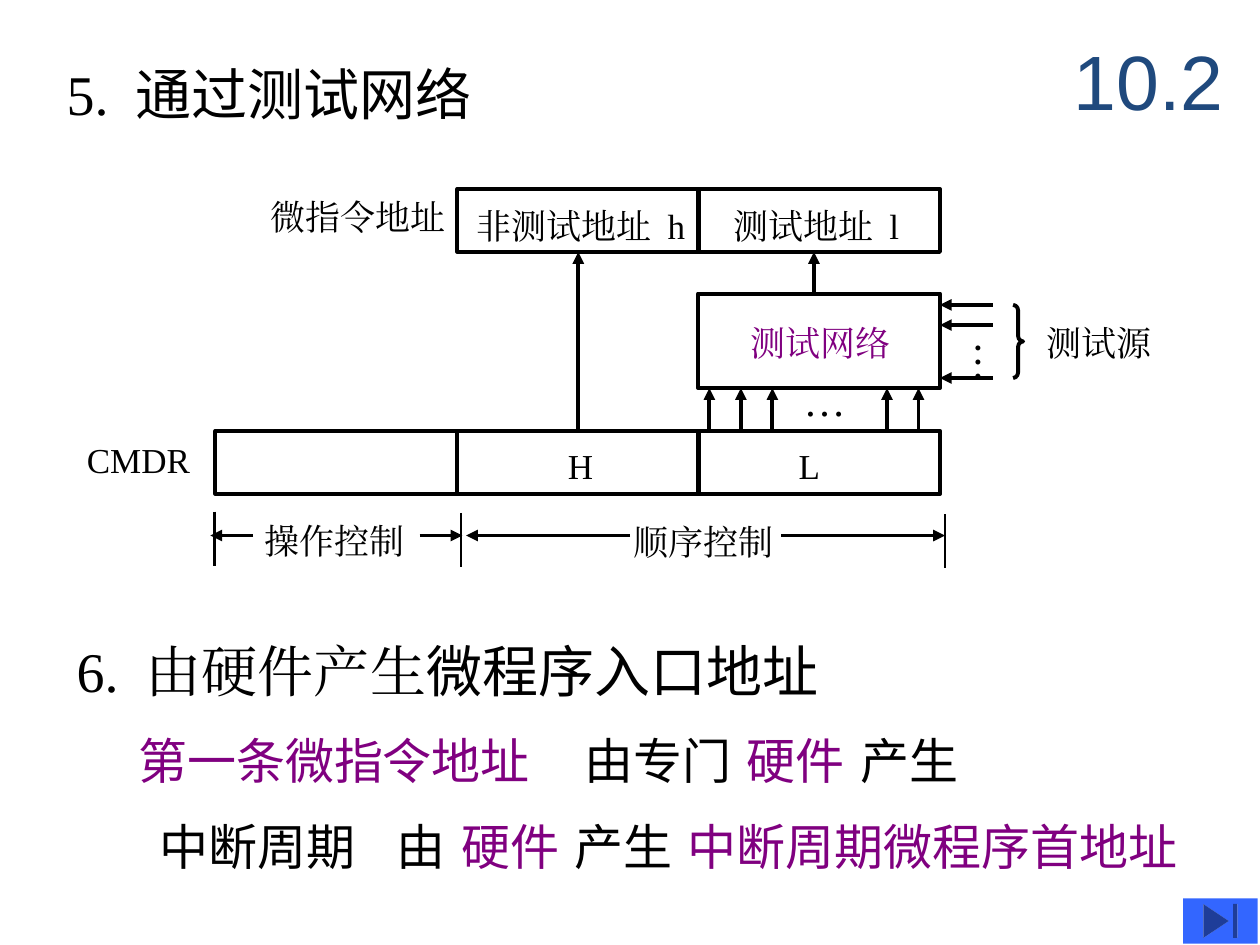
import pptx
import pptx.dml.color
import pptx.enum.shapes
import pptx.enum.text
import pptx.oxml.ns
import pptx.util
from lxml import etree

Inches = pptx.util.Inches
Pt = pptx.util.Pt
SHAPE = pptx.enum.shapes.MSO_SHAPE
SERIF, SANS = "Times New Roman", "DejaVu Sans"
HEX = {"ink": "000000", "key": "800080", "title": "1F497D", "button": "3366FF"}
COLS = [1.71, 3.63, 5.54]
CELL = 1.92
TOP, NET, BASE = 1.5, 2.33, 3.42


def tint(name):
    return pptx.dml.color.RGBColor.from_string(HEX[name])


def add_run(para, text, size, font, color):
    run = para.add_run()
    run.text = text
    run.font.size = Pt(size)
    run.font.name = font
    run.font.color.rgb = tint(color)
    east = etree.SubElement(run.font._element, pptx.oxml.ns.qn("a:ea"))
    east.set("typeface", font)


def add_text(slide, left, top, width, height, runs, size=20, tab=None):
    """Place one line of (text, font, color) runs, with an optional tab stop."""
    box = slide.shapes.add_textbox(
        Inches(left), Inches(top), Inches(width), Inches(height))
    frame = box.text_frame
    frame.word_wrap = True
    frame.margin_right = 0
    para = frame.paragraphs[0]
    if tab:
        stops = etree.SubElement(
            para._p.get_or_add_pPr(), pptx.oxml.ns.qn("a:tabLst"))
        stop = etree.SubElement(stops, pptx.oxml.ns.qn("a:tab"))
        stop.set("pos", str(Inches(tab)))
        stop.set("algn", "l")
    for text, font, color in runs:
        add_run(para, text, size, font, color)
    return frame


def add_label(slide, left, top, width, text, color="ink", tab=None):
    add_text(slide, left, top, width, 0.44, [(text, SERIF, color)], tab=tab)


def add_shape(slide, kind, left, top, width, height):
    """Add an unfilled shape with a dark outline."""
    shape = slide.shapes.add_shape(
        kind, Inches(left), Inches(top), Inches(width), Inches(height))
    shape.shadow.inherit = False
    shape.fill.background()
    shape.line.color.rgb = tint("ink")
    shape.line.width = Pt(2.25)
    return shape


def add_cell(slide, left, top, height=0.5):
    return add_shape(slide, SHAPE.RECTANGLE, left, top, CELL, height)


def add_line(slide, x1, y1, x2, y2, width=2.25, arrow=True):
    line = slide.shapes.add_connector(
        pptx.enum.shapes.MSO_CONNECTOR.STRAIGHT,
        Inches(x1), Inches(y1), Inches(x2), Inches(y2))
    line.line.color.rgb = tint("ink")
    line.line.width = Pt(width)
    if arrow:
        head = etree.SubElement(
            line.line._get_or_add_ln(), pptx.oxml.ns.qn("a:tailEnd"))
        head.set("type", "triangle")
    etree.SubElement(line._element.spPr, pptx.oxml.ns.qn("a:effectLst"))
    return line


def add_title(slide):
    title = slide.shapes.title
    title.left, title.top = Inches(8.42), Inches(0.17)
    title.width, title.height = Inches(1.58), Inches(0.92)
    title.text_frame.vertical_anchor = pptx.enum.text.MSO_ANCHOR.MIDDLE
    para = title.text_frame.paragraphs[0]
    para.alignment = pptx.enum.text.PP_ALIGN.LEFT
    add_run(para, "10.2", 44, "Arial", "title")


def add_heads(slide):
    add_text(slide, 0.43, 0.42, 7.95, 0.64,
             [("5.\t", SERIF, "ink"), ("通过测试网络", SANS, "ink")], 32, 0.55)
    add_text(slide, 0.51, 5, 6.99, 0.64,
             [("6.\t由硬件产生", SERIF, "ink"), ("微程序入口地址", SANS, "ink")],
             32, 0.55)
    add_text(slide, 1, 5.75, 8.5, 0.57,
             [("第一条微指令地址", SANS, "key"), ("\t由专门 ", SANS, "ink"),
              ("硬件 ", SANS, "key"), ("产生", SANS, "ink")], 28, 3.54)
    add_text(slide, 1.17, 6.43, 8.19, 0.57,
             [("中断周期\t由 ", SANS, "ink"), ("硬件 ", SANS, "key"),
              ("产生 ", SANS, "ink"), ("中断周期微程序首地址", SANS, "key")],
             28, 1.88)


def add_boxes(slide):
    upper = [add_cell(slide, x, TOP) for x in COLS[1:]]
    lower = [add_cell(slide, x, BASE) for x in COLS]
    add_cell(slide, COLS[2], NET, 0.75)
    rise = add_line(slide, 4.58, BASE, 4.58, TOP + 0.5)
    rise.begin_connect(lower[1], 0)
    rise.end_connect(upper[0], 2)


def add_arrows(slide):
    add_line(slide, 6.46, NET, 6.46, TOP + 0.5)
    for x in (5.63, 5.88, 6.13, 7.04, 7.29):
        add_line(slide, x, BASE, x, NET + 0.75)
    for y in (2.42, 2.58, 3):
        add_line(slide, 7.88, y, 7.46, y)
    for start, end in ((2.01, 1.67), (3.33, 3.67), (5, 3.7), (6.2, 7.5)):
        add_line(slide, start, 4.25, end, 4.25)
    for x, y in ((1.7, 4.06), (3.66, 4.07), (7.5, 4.08)):
        add_line(slide, x, y, x, y + 0.43, 1.5, False)


def add_labels(slide):
    add_label(slide, 2.05, 1.5, 1.59, "微指令地址")
    add_label(slide, 3.68, 1.57, 1.86, "非测试地址\th", tab=1.52)
    add_label(slide, 5.72, 1.57, 1.52, "测试地址\tl", tab=1.24)
    add_label(slide, 5.86, 2.5, 1.31, "测试网络", "key")
    add_label(slide, 8.21, 2.5, 1.03, "测试源")
    add_label(slide, 0.59, 3.43, 1.02, "CMDR")
    add_label(slide, 4.41, 3.48, 0.4, "H")
    add_label(slide, 6.24, 3.48, 0.37, "L")
    add_label(slide, 2, 4.07, 1.31, "操作控制")
    add_label(slide, 4.93, 4.08, 1.31, "顺序控制")


def add_dots(slide):
    dots = [("…", SERIF, "ink")]
    add_text(slide, 6.28, 2.92, 0.53, 0.5, dots, 24)
    frame = add_text(slide, 7.53, 2.61, 0.6, 0.44, dots, 24)
    frame._txBody.bodyPr.set("vert", "eaVert")
    frame.margin_left = frame.margin_right = Inches(0.05)
    frame.margin_top, frame.margin_bottom = Inches(0.1), 0


def add_brace(slide):
    brace = add_shape(slide, SHAPE.RIGHT_BRACE, 8.04, 2.42, 0.08, 0.58)
    brace.adjustments[0] = 0.55


def add_button(slide):
    button = add_shape(slide, SHAPE.ACTION_BUTTON_END, 9.39, 7.13, 0.59, 0.36)
    button.fill.solid()
    button.fill.fore_color.rgb = tint("button")
    button.line.fill.background()


def main():
    deck = pptx.Presentation()
    deck.slide_width, deck.slide_height = Inches(10), Inches(7.5)
    slide = deck.slides.add_slide(deck.slide_layouts[5])
    add_title(slide)
    add_heads(slide)
    add_boxes(slide)
    add_arrows(slide)
    add_labels(slide)
    add_dots(slide)
    add_brace(slide)
    add_button(slide)
    deck.save("out.pptx")


if __name__ == "__main__":
    main()
